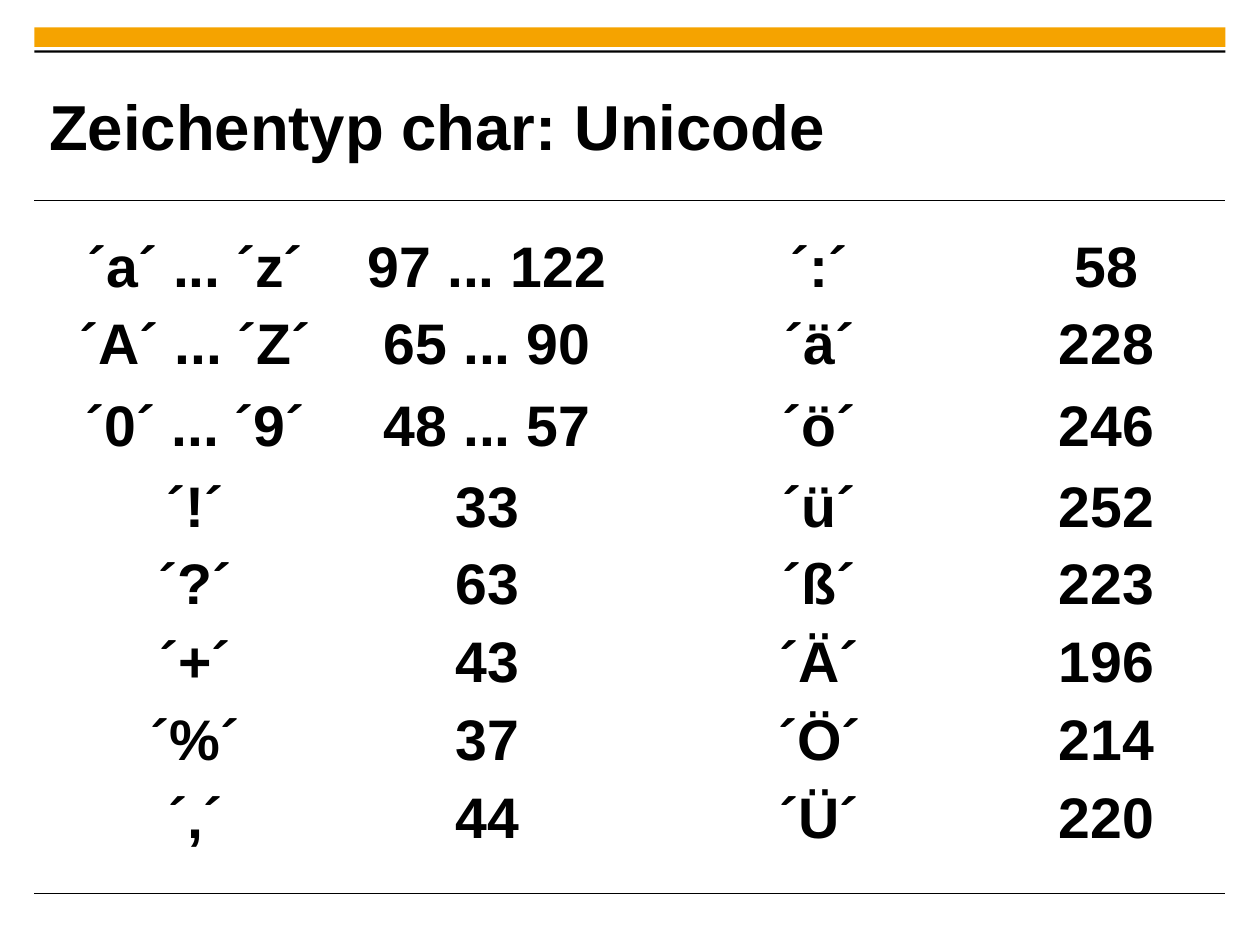
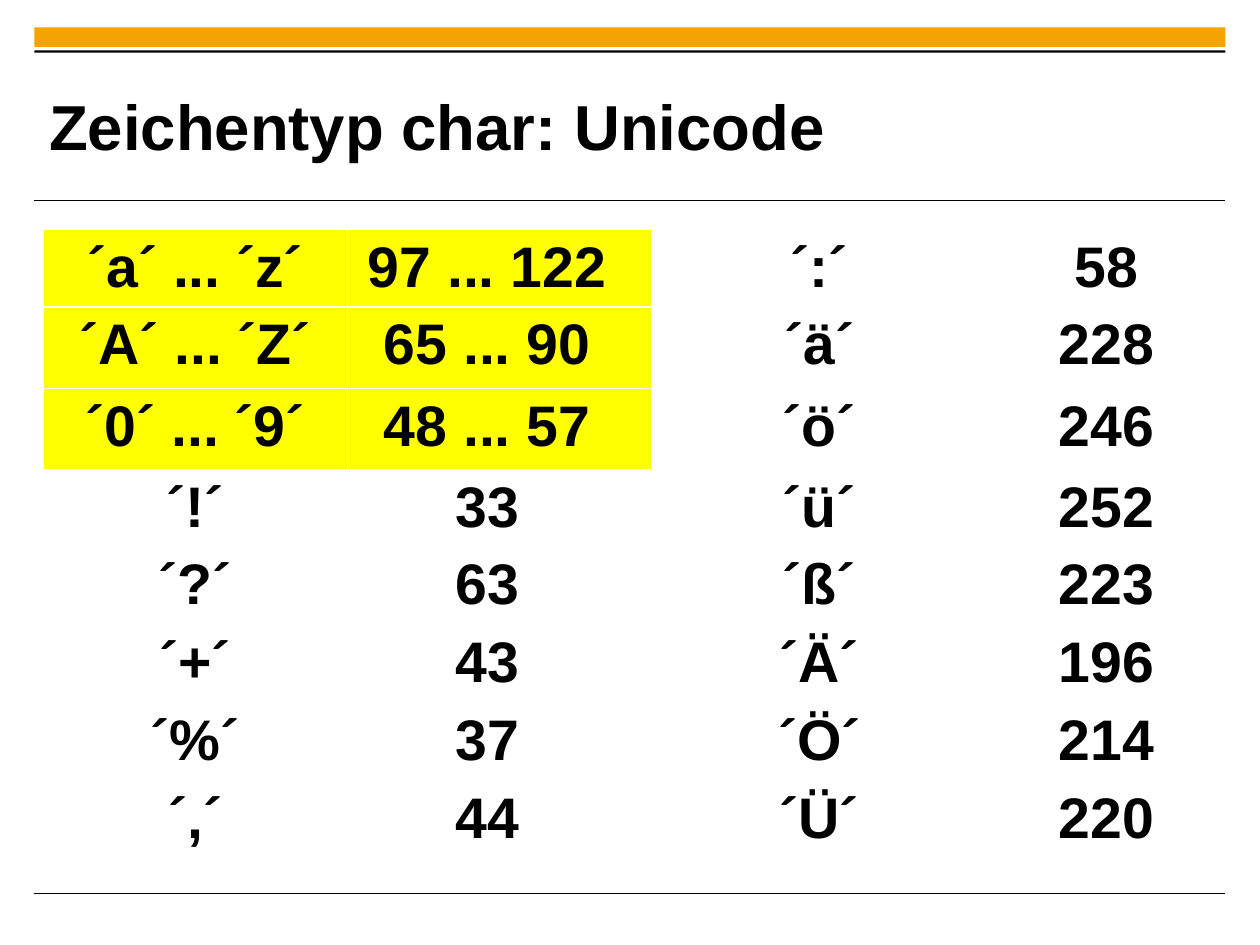
from lxml import etree
from pptx import Presentation
from pptx.dml.color import RGBColor
from pptx.enum.shapes import MSO_CONNECTOR, MSO_SHAPE
from pptx.enum.text import MSO_ANCHOR, MSO_AUTO_SIZE, PP_ALIGN
from pptx.oxml.ns import qn
from pptx.util import Inches, Pt

RECTANGLE = MSO_SHAPE.RECTANGLE
STRAIGHT = MSO_CONNECTOR.STRAIGHT
MIDDLE = MSO_ANCHOR.MIDDLE
NO_AUTOFIT = MSO_AUTO_SIZE.NONE
LEFT, CENTER = PP_ALIGN.LEFT, PP_ALIGN.CENTER

ORANGE = RGBColor(0xF5, 0xA3, 0x00)
BLACK = RGBColor(0x00, 0x00, 0x00)
WHITE = RGBColor(0xFF, 0xFF, 0xFF)
YELLOW = RGBColor(0xFF, 0xFF, 0x00)
FONT = "Arial"

TITLE = "Zeichentyp char: Unicode"
CODES = [
    ("´a´ ... ´z´", "97 ... 122", "´:´", "58"),
    ("´A´ ... ´Z´", "65 ... 90", "´ä´", "228"),
    ("´0´ ... ´9´", "48 ... 57", "´ö´", "246"),
    ("´!´", "33", "´ü´", "252"),
    ("´?´", "63", "´ß´", "223"),
    ("´+´", "43", "´Ä´", "196"),
    ("´%´", "37", "´Ö´", "214"),
    ("´,´", "44", "´Ü´", "220"),
]
RANGE_CELLS = {(row, column) for row in range(3) for column in range(2)}
HIGHLIGHTS = [set(), RANGE_CELLS]  # yellow cells, one set per slide

# The page measures 28 by 21 centimetres.
PAGE_WIDTH, PAGE_HEIGHT = Inches(28 / 2.54), Inches(21 / 2.54)
FRAME_LEFT, FRAME_WIDTH = Inches(0.3), Inches(10.42)
BARS = [(0.24, 0.17, ORANGE), (0.44, 0.02, BLACK)]  # top, height, colour
RULES = [1.75, 7.82]
TABLE_WIDTH = Inches(10.63)
ROW_HEIGHTS = [0.68, 0.71, 0.71] + [0.68] * 5
LEFT_MARGINS = [0.1, 0.1, 0.39, 0.1]
RIGHT_MARGINS = [0.1, 0.31, 0.1, 0.1]
THIN, THICK = Pt(0.45), Pt(1.47)


def format_text(paragraph, size, alignment):
    paragraph.alignment = alignment
    for span in paragraph.runs:
        span.font.name = FONT
        span.font.size = Pt(size)
        span.font.bold = True
        span.font.color.rgb = BLACK


def add_frame(slide):
    """Draw the bars and rules that every slide shares."""
    for top, height, colour in BARS:
        bar = slide.shapes.add_shape(
            RECTANGLE, FRAME_LEFT, Inches(top), FRAME_WIDTH, Inches(height))
        bar.shadow.inherit = False
        bar.fill.solid()
        bar.fill.fore_color.rgb = colour
        bar.line.fill.background()
    for top in RULES:
        rule = slide.shapes.add_connector(
            STRAIGHT, FRAME_LEFT, Inches(top), FRAME_LEFT + FRAME_WIDTH, Inches(top))
        rule.line.color.rgb = BLACK
        rule.line.width = Pt(0.6)
        etree.SubElement(rule._element.spPr, qn("a:effectLst"))


def set_title(slide, text):
    title = slide.shapes.title
    title.left, title.top = Inches(0.43), Inches(0.59)
    title.width, title.height = Inches(8.29), Inches(1.01)
    frame = title.text_frame
    frame.text = text
    frame.auto_size = NO_AUTOFIT
    frame.vertical_anchor = MIDDLE
    frame.margin_left = frame.margin_right = 0
    frame.margin_top = frame.margin_bottom = 0
    format_text(frame.paragraphs[0], 40, LEFT)


def set_borders(cell, row):
    """Draw white cell borders, thicker between the first two rows."""
    widths = {"L": THIN, "R": THIN,
              "T": THICK if row == 1 else THIN,
              "B": THICK if row == 0 else THIN}
    properties = cell._tc.get_or_add_tcPr()
    for side, width in widths.items():
        border = etree.SubElement(properties, qn(f"a:ln{side}"), w=str(int(width)))
        fill = etree.SubElement(border, qn("a:solidFill"))
        etree.SubElement(fill, qn("a:srgbClr"), val=str(WHITE))


def add_code_table(slide, highlighted):
    table = slide.shapes.add_table(
        len(CODES), len(CODES[0]), Inches(0.38), Inches(2.01),
        TABLE_WIDTH, Inches(sum(ROW_HEIGHTS))).table
    table.first_row = table.horz_banding = False
    for row, (texts, height) in enumerate(zip(CODES, ROW_HEIGHTS)):
        table.rows[row].height = Inches(height)
        for column, text in enumerate(texts):
            cell = table.cell(row, column)
            cell.text_frame.text = text
            format_text(cell.text_frame.paragraphs[0], 36, CENTER)
            cell.margin_left = Inches(LEFT_MARGINS[column])
            cell.margin_right = Inches(RIGHT_MARGINS[column])
            set_borders(cell, row)
            cell.fill.solid()
            cell.fill.fore_color.rgb = YELLOW if (row, column) in highlighted else WHITE


def main():
    deck = Presentation()
    deck.slide_width, deck.slide_height = PAGE_WIDTH, PAGE_HEIGHT
    title_only = deck.slide_layouts[5]
    for highlighted in HIGHLIGHTS:
        slide = deck.slides.add_slide(title_only)
        add_frame(slide)
        set_title(slide, TITLE)
        add_code_table(slide, highlighted)
    deck.save("out.pptx")


if __name__ == "__main__":
    main()
